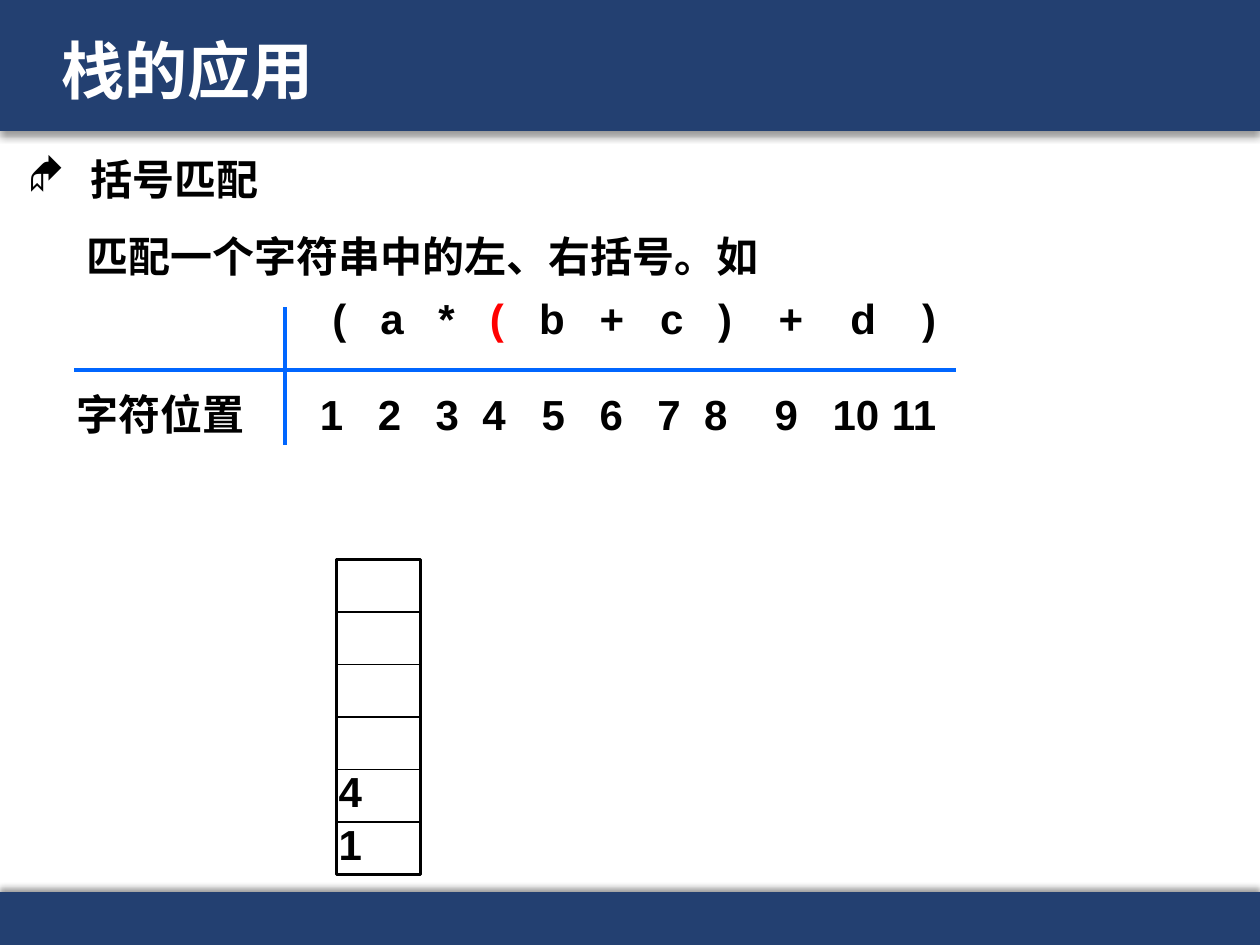
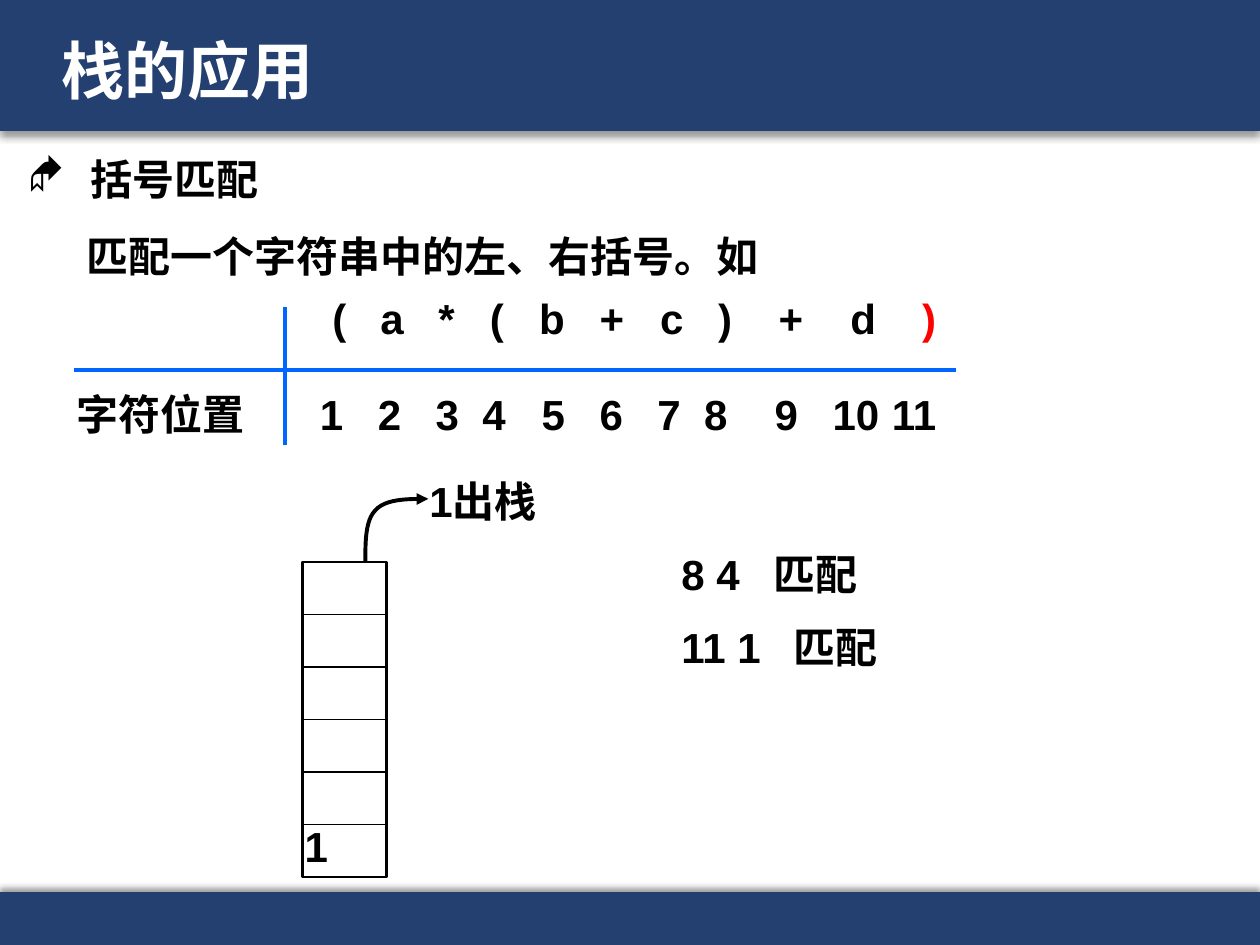
import lxml.etree
import pptx
import pptx.dml.color
import pptx.enum.shapes
import pptx.enum.text
import pptx.oxml.ns
import pptx.util

Inches = pptx.util.Inches
Pt = pptx.util.Pt
RGBColor = pptx.dml.color.RGBColor
qn = pptx.oxml.ns.qn

NAVY = RGBColor(0x23, 0x40, 0x71)
BLUE = RGBColor(0x00, 0x66, 0xFF)
RED = RGBColor(0xFF, 0x00, 0x00)
BLACK = RGBColor(0x00, 0x00, 0x00)
WHITE = RGBColor(0xFF, 0xFF, 0xFF)
LATIN = "Arial"
HAN = "Noto Sans CJK SC"

EXPRESSION = "(a*(b+c)+d)"
EXPRESSION_TABS = [1.95, 2.33, 2.79, 3.2, 3.59, 4.07, 4.55, 5.01, 5.49, 6.06, 6.63]
POSITION_TABS = [1.93, 2.39, 2.85, 3.22, 3.69, 4.15, 4.61, 4.98, 5.54, 6.0, 6.47]
STACK_WIDTH, STACK_HEIGHT, STACK_CELLS = 0.67, 2.5, 6


def add_xml(parent, tag, **attrs):
    return lxml.etree.SubElement(parent, qn(tag), {k: str(v) for k, v in attrs.items()})


def bezier(p0, p1, p2, p3, steps=12):
    for i in range(1, steps + 1):
        t = i / steps
        u = 1 - t
        yield tuple(
            Inches(u**3 * a + 3 * u * u * t * b + 3 * u * t * t * c + t**3 * d)
            for a, b, c, d in zip(p0, p1, p2, p3)
        )


class Deck:
    def __init__(self):
        self.prs = pptx.Presentation()
        self.prs.slide_width = Inches(10)
        self.prs.slide_height = Inches(7.5)
        self.s = None

    def new_slide(self, title, topic):
        first = self.s is None
        self.s = self.prs.slides.add_slide(self.prs.slide_layouts[1])
        if first:
            self.band(0, 1.04, 90)
            self.band(7.08, 0.42, 270)

        tf = self.placeholder(0, 0.39, 0.16, 8.62, 0.86)
        tf.vertical_anchor = pptx.enum.text.MSO_ANCHOR.MIDDLE
        self.style(tf.paragraphs[0], [(title, None)], HAN, 36, WHITE, 0.9)

        tf = self.placeholder(1, 0.12, 1.07, 9.48, 0.54)
        p = tf.paragraphs[0]
        self.style(p, [(topic, None)], HAN, spacing=1.25)
        pPr = p._p.get_or_add_pPr()
        pPr.set("marL", str(Inches(0.5)))
        pPr.set("indent", str(-Inches(0.5)))
        bullet = [add_xml(pPr, "a:buFont", typeface="Wingdings"),
                  add_xml(pPr, "a:buChar", char="◆")]
        for el in bullet:
            pPr.find(qn("a:defRPr")).addprevious(el)

    def band(self, top, height, angle):
        sp = self.rect(0, top, 10, height, NAVY)
        shadow = add_xml(sp._element.spPr.find(qn("a:effectLst")), "a:outerShdw",
                         blurRad=Pt(4), dist=Pt(3), dir=angle * 60000, rotWithShape=0)
        add_xml(add_xml(shadow, "a:srgbClr", val=BLACK), "a:alpha", val=40000)
        self.prs.slide_master.shapes._spTree.insert(2, sp._element)

    def placeholder(self, idx, left, top, width, height):
        sp = self.s.placeholders[idx]
        sp.left, sp.top = Inches(left), Inches(top)
        sp.width, sp.height = Inches(width), Inches(height)
        sp.text_frame.auto_size = pptx.enum.text.MSO_AUTO_SIZE.NONE
        return sp.text_frame

    def style(self, p, runs, font=LATIN, size=24, color=BLACK, spacing=0.8, tabs=()):
        for text, run_color in runs:
            r = p.add_run()
            r.text = text
            if run_color is not None:
                r.font.color.rgb = run_color
        p.alignment = pptx.enum.text.PP_ALIGN.LEFT
        p.line_spacing = spacing
        p.space_before = Pt(0)
        p.font.size = Pt(size)
        p.font.bold = True
        p.font.color.rgb = color
        p.font.name = font
        pPr = p._p.pPr
        defaults = pPr.find(qn("a:defRPr"))
        add_xml(defaults, "a:ea", typeface=HAN)
        if tabs:
            tab_list = add_xml(pPr, "a:tabLst")
            for tab in tabs:
                add_xml(tab_list, "a:tab", pos=Inches(tab), algn="l")
            defaults.addprevious(tab_list)

    def text(self, left, top, width, height, text, font=LATIN, tabs=()):
        sp = self.s.shapes.add_textbox(
            Inches(left), Inches(top), Inches(width), Inches(height))
        tf = sp.text_frame
        tf.word_wrap = True
        tf.auto_size = pptx.enum.text.MSO_AUTO_SIZE.SHAPE_TO_FIT_TEXT
        self.style(tf.paragraphs[0], [(text, None)], font, tabs=tabs)
        return tf

    def rect(self, left, top, width, height, fill, border=None):
        sp = self.s.shapes.add_shape(
            pptx.enum.shapes.MSO_SHAPE.RECTANGLE,
            Inches(left), Inches(top), Inches(width), Inches(height))
        sp.shadow.inherit = False
        sp.fill.solid()
        sp.fill.fore_color.rgb = fill
        if border is None:
            sp.line.fill.background()
        else:
            sp.line.color.rgb = border
            sp.line.width = Pt(1.5)
        return sp

    def line(self, x1, y1, x2, y2, color, width):
        cx = self.s.shapes.add_connector(
            pptx.enum.shapes.MSO_CONNECTOR.STRAIGHT,
            Inches(x1), Inches(y1), Inches(x2), Inches(y2))
        cx.line.color.rgb = color
        cx.line.width = Pt(width)
        add_xml(cx._element.spPr, "a:effectLst")
        return cx

    def expression(self, highlighted):
        tf = self.text(0.59, 1.86, 8.58, 0.95, "匹配一个字符串中的左、右括号。如", HAN)
        p = tf.add_paragraph()
        runs = [("\t" + char, RED if i == highlighted else None)
                for i, char in enumerate(EXPRESSION, 1)]
        self.style(p, runs, tabs=EXPRESSION_TABS)
        p.space_before = Pt(12)

        positions = [str(i) for i in range(1, len(EXPRESSION) + 1)]
        self.text(0.51, 3.11, 7.58, 0.42, "\t".join(["字符位置"] + positions),
                  tabs=POSITION_TABS)
        self.line(0.59, 2.94, 7.59, 2.94, BLUE, 2.25)
        self.line(2.26, 2.44, 2.26, 3.53, BLUE, 2.25)

    def stack(self, left, top, values):
        box = self.rect(left, top, STACK_WIDTH, STACK_HEIGHT, WHITE, BLACK)
        cell = STACK_HEIGHT / STACK_CELLS
        for i in range(1, STACK_CELLS):
            y = top + i * cell
            cx = self.line(left, y, left + STACK_WIDTH, y, BLACK, 0.75)
            if i * 2 == STACK_CELLS:
                cx.begin_connect(box, 1)
                cx.end_connect(box, 3)
        for i, value in enumerate(values, 1):
            self.text(left - 0.08, top + STACK_HEIGHT - i * cell, 0.83, 0.42, value)

    def pop_arrow(self):
        start, middle, end = (2.9, 4.46), (2.98, 4.05), (3.4, 3.96)
        points = [*bezier(start, (2.9, 4.3), (2.9, 4.13), middle),
                  *bezier(middle, (3.06, 3.96), (3.23, 3.96), end)]
        fb = self.s.shapes.build_freeform(*map(Inches, start))
        fb.add_line_segments(points, close=False)
        sp = fb.convert_to_shape()
        sp.shadow.inherit = False
        sp.fill.background()
        sp.line.color.rgb = BLACK
        sp.line.width = Pt(2.25)
        add_xml(sp._element.spPr.find(qn("a:ln")), "a:tailEnd", type="triangle")

    def save(self):
        self.prs.save("out.pptx")


def main():
    deck = Deck()

    deck.new_slide("栈的应用", "括号匹配")
    deck.expression(highlighted=4)
    deck.stack(2.67, 4.44, ["1", "4"])

    deck.new_slide("栈的应用", "括号匹配")
    deck.expression(highlighted=11)
    deck.stack(2.4, 4.46, ["1"])
    deck.pop_arrow()
    deck.text(3.31, 3.8, 1.42, 0.42, "1出栈")
    deck.text(5.31, 4.38, 2.83, 0.42, "8 4\t匹配", tabs=[0.73])
    deck.text(5.31, 4.96, 2.83, 0.42, "11 1\t匹配", tabs=[0.89])

    deck.save()


if __name__ == "__main__":
    main()
